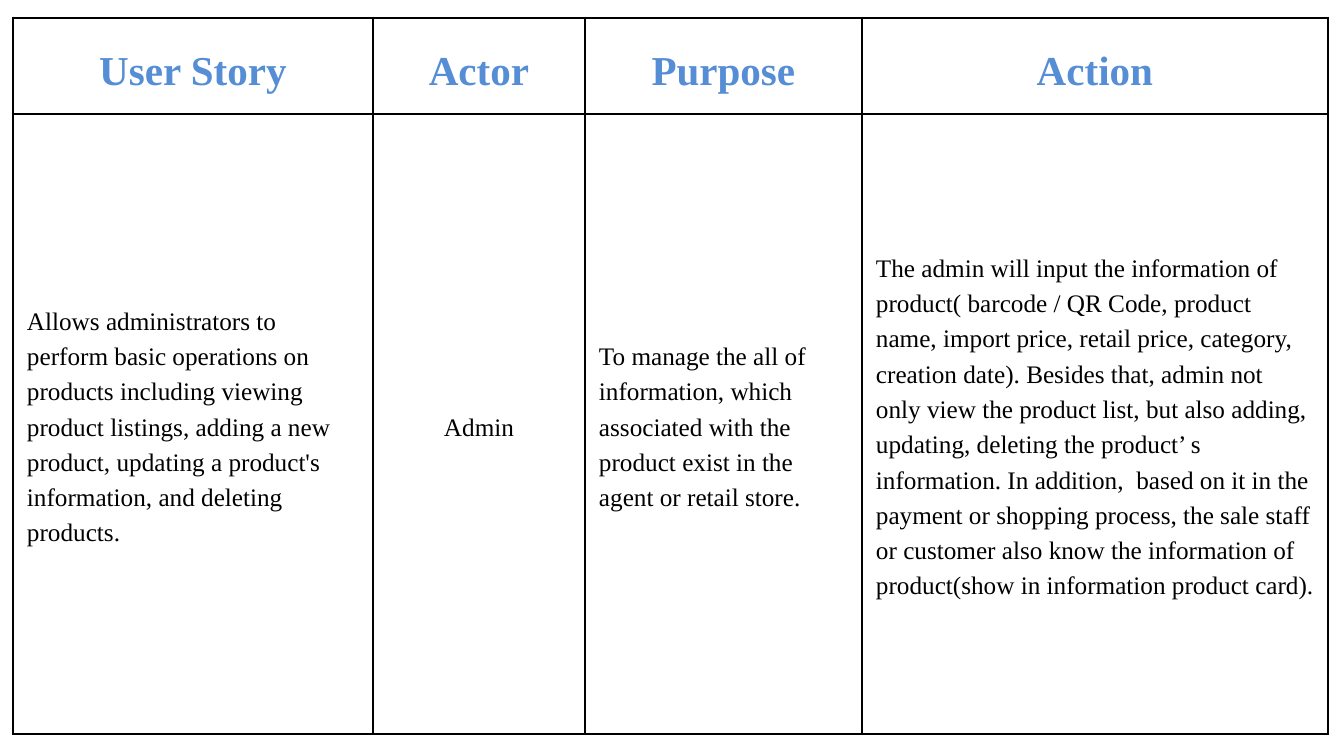
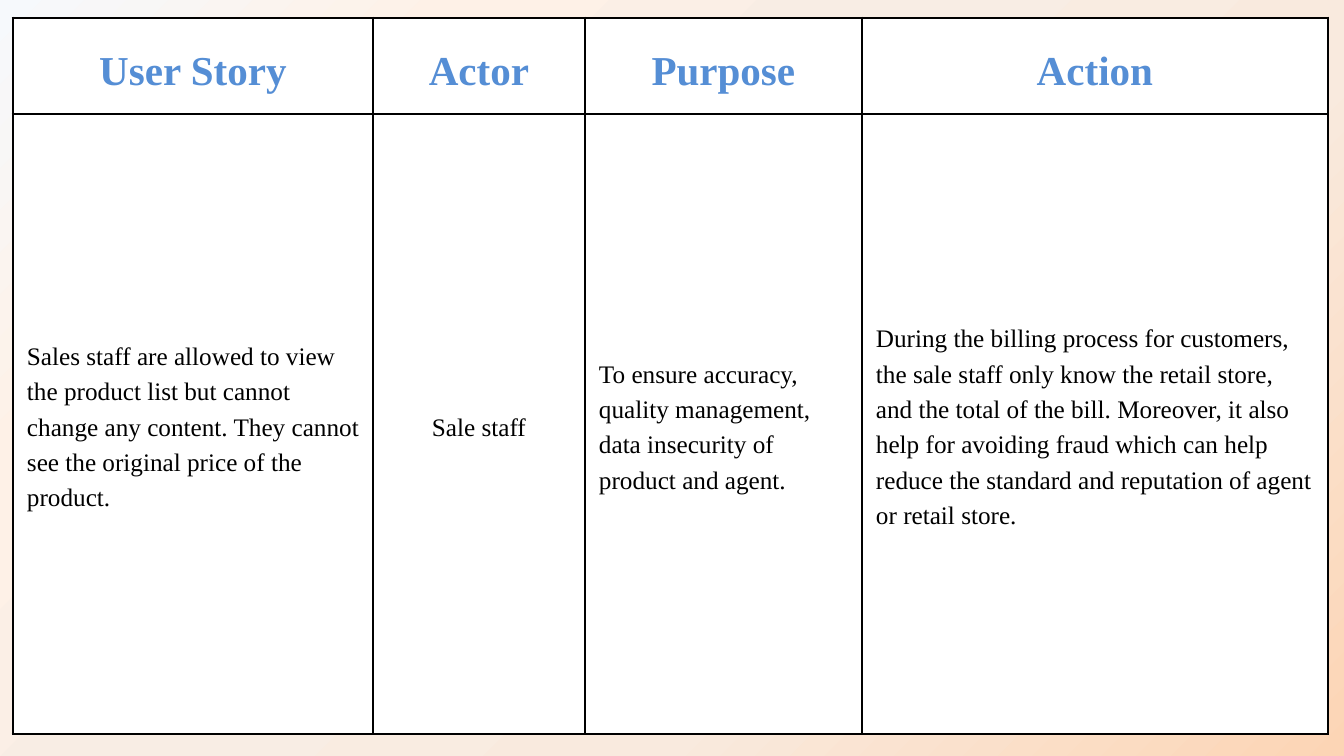
from lxml import etree
from pptx import Presentation
from pptx.dml.color import RGBColor
from pptx.enum.text import MSO_ANCHOR as Anchor, PP_ALIGN as Align
from pptx.oxml.ns import qn
from pptx.util import Emu, Pt

# Shared look
WHITE = RGBColor(0xFF, 0xFF, 0xFF)
BLACK = RGBColor(0x00, 0x00, 0x00)
BLUE = RGBColor(0x55, 0x8E, 0xD5)
PEACH_GLOW = [
    (0, RGBColor(0xFC, 0xD5, 0xB5)),
    (33, RGBColor(0xF9, 0xEA, 0xDE)),
    (57, RGBColor(0xF8, 0xED, 0xE4)),
    (78, RGBColor(0xFE, 0xF1, 0xE7)),
    (100, RGBColor(0xF6, 0xF9, 0xFC)),
]
GLOW_ANGLE = 225
FONT = "Times New Roman"
HEADING = {"name": FONT, "size": Pt(44), "bold": True}
BODY = {"name": FONT, "size": Pt(27), "bold": False}
LINE_SPACING = 1.4
BORDER = Pt(3)

# Layout in px
PAGE_SIZE = (1344, 756)
TABLE_BOX = (13, 18, 1315, 716)
COLUMNS = (360, 212, 277, 466)
ROWS = (96, 620)
INSET = 14

HEADINGS = ("User Story", "Actor", "Purpose", "Action")
ACTOR_COLUMN = HEADINGS.index("Actor")
ADMIN_STORY = (
    "Allows administrators to perform basic operations on products including "
    "viewing product listings, adding a new product, updating a product's "
    "information, and deleting products.",
    "Admin",
    "To manage the all of information, which associated with the product exist "
    "in the agent or retail store.",
    "The admin will input the information of product( barcode / QR Code, product "
    "name, import price, retail price, category, creation date). Besides that, "
    "admin not only view the product list, but also adding, updating, deleting "
    "the product’ s information. In addition,  based on it in the payment or "
    "shopping process, the sale staff or customer also know the information of "
    "product(show in information product card).",
)
SALES_STORY = (
    "Sales staff are allowed to view the product list but cannot change any "
    "content. They cannot see the original price of the product.",
    "Sale staff",
    "To ensure accuracy, quality management, data insecurity of product and agent.",
    "During the billing process for customers, the sale staff only know the retail "
    "store, and the total of the bill. Moreover, it also help for avoiding fraud "
    "which can help reduce the standard and reputation of agent or retail store.",
)


def px(length):
    return Emu(round(length * 914400 / 67.2))


def add_color(parent, color):
    etree.SubElement(parent, qn("a:srgbClr"), val=str(color))


def paint_gradient(page, stops, angle):
    fill = page.background.fill
    fill.gradient()
    gradient = page.background._cSld.find(".//" + qn("a:gradFill"))
    stop_list = gradient.find(qn("a:gsLst"))
    for old_stop in list(stop_list):
        stop_list.remove(old_stop)
    for position, color in stops:
        stop = etree.SubElement(stop_list, qn("a:gs"), pos=str(position * 1000))
        add_color(stop, color)
    gradient.find(qn("a:lin")).set("ang", str(angle * 60000))


def add_borders(cell):
    properties = cell._tc.get_or_add_tcPr()
    for side in ("lnL", "lnR", "lnT", "lnB"):
        line = etree.SubElement(properties, qn("a:" + side), w=str(BORDER))
        add_color(etree.SubElement(line, qn("a:solidFill")), BLACK)


def fill_cell(cell, text, style, color, align, background):
    for side in ("left", "right", "top", "bottom"):
        setattr(cell, "margin_" + side, px(INSET))
    cell.vertical_anchor = Anchor.MIDDLE
    add_borders(cell)
    if background is None:
        cell.fill.background()
    else:
        cell.fill.solid()
        cell.fill.fore_color.rgb = background

    para = cell.text_frame.paragraphs[0]
    para.alignment = align
    para.line_spacing = Pt(style["size"].pt * LINE_SPACING)
    span = para.add_run()
    span.text = text
    for name, value in style.items():
        setattr(span.font, name, value)
    span.font.color.rgb = color


def add_story_table(page, box, story, background=None):
    frame = page.shapes.add_table(len(ROWS), len(COLUMNS), *map(px, box))
    table = frame.table
    table.first_row = table.horz_banding = False
    for column, width in zip(table.columns, COLUMNS):
        column.width = px(width)
    for row, height in zip(table.rows, ROWS):
        row.height = px(height)

    # Heading row, then the story row with only the actor centred
    for index, (heading, text) in enumerate(zip(HEADINGS, story)):
        fill_cell(table.cell(0, index), heading, HEADING, BLUE, Align.CENTER, background)
        align = Align.CENTER if index == ACTOR_COLUMN else Align.LEFT
        fill_cell(table.cell(1, index), text, BODY, BLACK, align, background)


def main():
    deck = Presentation()
    deck.slide_width, deck.slide_height = map(px, PAGE_SIZE)
    blank = deck.slide_layouts[6]

    # Admin story on plain white
    admin_page = deck.slides.add_slide(blank)
    admin_page.background.fill.solid()
    admin_page.background.fill.fore_color.rgb = WHITE
    add_story_table(admin_page, TABLE_BOX, ADMIN_STORY)

    # Sales staff story: white cells over the gradient
    sales_page = deck.slides.add_slide(blank)
    paint_gradient(sales_page, PEACH_GLOW, GLOW_ANGLE)
    add_story_table(sales_page, TABLE_BOX, SALES_STORY, WHITE)

    deck.save("out.pptx")


if __name__ == "__main__":
    main()
